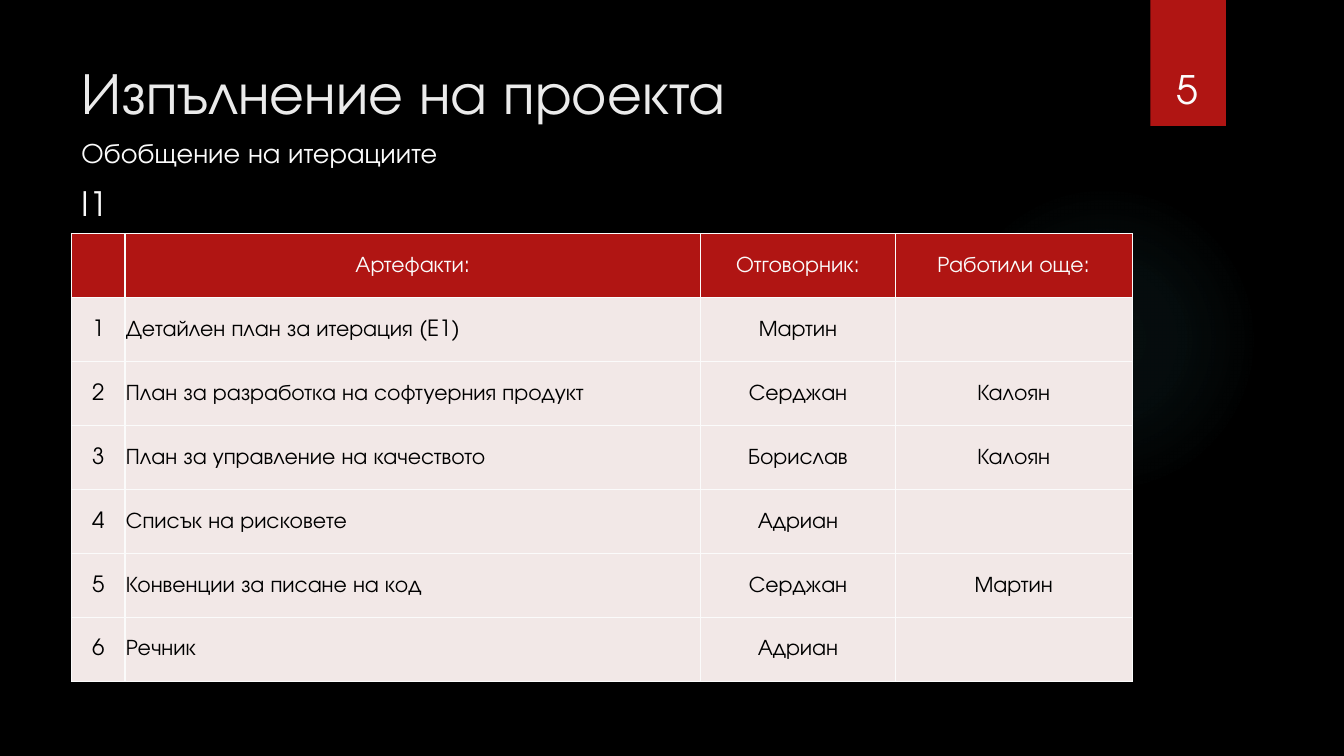
from lxml.etree import SubElement
from pptx import Presentation
from pptx.dml.color import RGBColor
from pptx.enum.shapes import MSO_SHAPE
from pptx.enum.text import MSO_ANCHOR, PP_ALIGN
from pptx.oxml import parse_xml
from pptx.oxml.ns import nsdecls, qn
from pptx.util import Inches, Pt

COLORS = {
    "background": "000000",
    "accent": "B01513",
    "glow": "50B9C1",
    "title": "EBEBEB",
    "light": "FBFBFB",
    "number": "FCFCFC",
    "body": "F2E8E7",
    "dark": "000000",
}
FONT = "TeX Gyre Adventor"

HEADER = ["", "Артефакти:", "Отговорник:", "Работили още:"]
ARTIFACTS = [
    ("Детайлен план за итерация (E1)", "Мартин", ""),
    ("План за разработка на софтуерния продукт", "Серджан", "Калоян"),
    ("План за управление на качеството", "Борислав", "Калоян"),
    ("Списък на рисковете", "Адриан", ""),
    ("Конвенции за писане на код", "Серджан", "Мартин"),
    ("Речник", "Адриан", ""),
]


def rgb(name):
    return RGBColor.from_string(COLORS[name])


def write(tf, text, size=16, color="light", align=PP_ALIGN.LEFT):
    p = tf.paragraphs[0]
    p.alignment = align
    p.font.size = Pt(size)
    if text:
        r = p.add_run()
        r.text = text
        r.font.name = FONT
        r.font.size = Pt(size)
        r.font.color.rgb = rgb(color)


class SlideBuilder:
    def __init__(self, prs):
        self.s = prs.slides.add_slide(prs.slide_layouts[6])
        fill = self.s.background.fill
        fill.solid()
        fill.fore_color.rgb = rgb("background")

    def shape(self, kind, box, color):
        sp = self.s.shapes.add_shape(kind, *map(Inches, box))
        sp.shadow.inherit = False
        sp.line.fill.background()
        sp.fill.solid()
        sp.fill.fore_color.rgb = rgb(color)
        return sp

    def glow(self, box, stops):
        sp = self.shape(MSO_SHAPE.OVAL, box, "glow")
        marks = "".join(
            f'<a:gs pos="{pos * 1000}"><a:srgbClr val="{COLORS["glow"]}">'
            f'<a:alpha val="{alpha * 1000}"/></a:srgbClr></a:gs>'
            for pos, alpha in stops)
        grad = parse_xml(
            f'<a:gradFill {nsdecls("a")}><a:gsLst>{marks}</a:gsLst>'
            '<a:path path="circle"><a:fillToRect l="50000" t="50000" '
            'r="50000" b="50000"/></a:path></a:gradFill>')
        solid = sp._element.spPr.find(qn("a:solidFill"))
        solid.getparent().replace(solid, grad)

    def text(self, box, text, anchor=MSO_ANCHOR.TOP, wrap=True, **fmt):
        tf = self.s.shapes.add_textbox(*map(Inches, box)).text_frame
        tf.word_wrap = wrap
        tf.vertical_anchor = anchor
        write(tf, text, **fmt)

    def cell(self, cell, text, fill, **fmt):
        cell.margin_left = cell.margin_right = cell.margin_top = Inches(0.01)
        cell.margin_bottom = 0
        cell.vertical_anchor = MSO_ANCHOR.MIDDLE
        cell.fill.solid()
        cell.fill.fore_color.rgb = rgb(fill)
        write(cell.text_frame, text, **fmt)
        # Borders stand before the fill in the cell properties
        tcPr = cell._tc.get_or_add_tcPr()
        for i, side in enumerate(("lnL", "lnR", "lnT", "lnB")):
            ln = SubElement(tcPr, qn(f"a:{side}"), w=str(Pt(1)))
            line = SubElement(ln, qn("a:solidFill"))
            SubElement(line, qn("a:srgbClr"), val=COLORS["light"])
            tcPr.insert(i, ln)

    def table(self, box, widths, rows):
        frame = self.s.shapes.add_table(len(rows), len(widths), *map(Inches, box))
        table = frame.table
        for column, width in zip(table.columns, widths):
            column.width = Inches(width)
        for i, row in enumerate(rows):
            table.rows[i].height = Inches(box[3] / len(rows))
            fill, color = ("body", "dark") if i else ("accent", "light")
            for j, text in enumerate(row):
                left = i > 0 and j == 1
                self.cell(table.cell(i, j), text, fill, color=color,
                          align=PP_ALIGN.LEFT if left else PP_ALIGN.CENTER)


def main():
    prs = Presentation()
    prs.slide_width, prs.slide_height = Inches(13.33), Inches(7.5)
    slide = SlideBuilder(prs)

    # Backdrop
    slide.glow((9.41, 1.83, 3.08, 3.08), [(0, 7), (36, 6), (69, 0)])
    slide.shape(MSO_SHAPE.RECTANGLE, (11.41, 0, 0.75, 1.25), "accent")

    # Headings
    slide.text((0.71, 0.5, 10.29, 1.53), "Изпълнение на проекта",
               size=42, color="title")
    slide.text((0.71, 1.3, 5.69, 0.44), "Обобщение на итерациите", size=20)
    slide.text((0.71, 1.77, 0.46, 0.5), "I1", wrap=False, size=24)

    # Artifacts of the iteration
    rows = [HEADER] + [(str(n), *row) for n, row in enumerate(ARTIFACTS, 1)]
    slide.table((0.71, 2.32, 10.52, 4.44), (0.53, 5.71, 1.93, 2.35), rows)

    # Slide number
    slide.text((11.32, 0.32, 0.92, 0.84), "5", anchor=MSO_ANCHOR.BOTTOM,
               size=28, color="number", align=PP_ALIGN.CENTER)

    prs.save("out.pptx")


if __name__ == "__main__":
    main()
